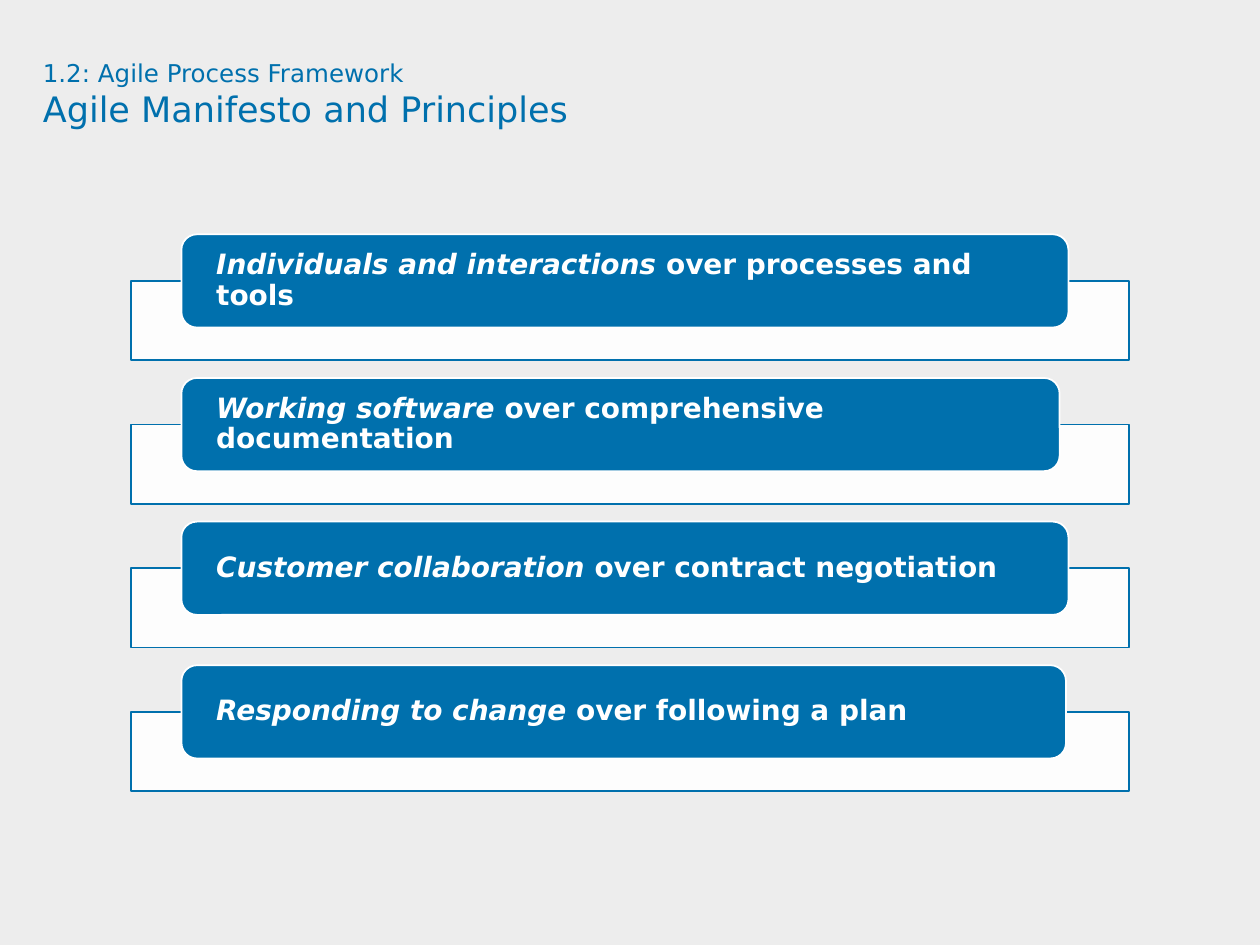
from lxml import etree
from pptx import Presentation
from pptx.dml.color import RGBColor
from pptx.enum.shapes import MSO_SHAPE
from pptx.enum.text import MSO_ANCHOR, PP_ALIGN
from pptx.oxml.ns import qn
from pptx.util import Inches, Pt

RECTANGLE = MSO_SHAPE.RECTANGLE
ROUNDED = MSO_SHAPE.ROUNDED_RECTANGLE
TOP = MSO_ANCHOR.TOP
MIDDLE = MSO_ANCHOR.MIDDLE
LEFT = PP_ALIGN.LEFT

FONT = "DejaVu Sans"
COLORS = {"background": "EDEDED", "blue": "0070AD", "white": "FFFFFF"}
PRINCIPLES = [
    ("Individuals and interactions", " over processes and tools", 7.04),
    ("Working software", " over comprehensive documentation", 6.97),
    ("Customer collaboration", " over contract negotiation", 7.04),
    ("Responding to change", " over following a plan", 7.02),
]
ROW_PITCH = 1.14


def color(name):
    return RGBColor.from_string(COLORS[name])


def add_run(paragraph, text, size, color_name, bold=False, italic=False):
    run = paragraph.add_run()
    run.text = text
    run.font.name = FONT
    run.font.size = Pt(size)
    run.font.bold = bold
    run.font.italic = italic
    run.font.color.rgb = color(color_name)


def set_frame(frame, anchor, side_inset):
    frame.word_wrap = True
    frame.vertical_anchor = anchor
    frame.margin_left = frame.margin_right = Inches(side_inset)
    frame.margin_top = frame.margin_bottom = 0


def add_box(slide, kind, left, top, width, height, fill, line):
    shape = slide.shapes.add_shape(
        kind, Inches(left), Inches(top), Inches(width), Inches(height)
    )
    shape.shadow.inherit = False
    shape.fill.solid()
    shape.fill.fore_color.rgb = color(fill)
    shape.line.color.rgb = color(line)
    shape.line.width = Pt(1)
    return shape


def set_opacity(shape, percent):
    fill_color = shape.fill._xPr.find(qn("a:solidFill"))[0]
    etree.SubElement(fill_color, qn("a:alpha")).set("val", str(percent * 1000))


def add_title(slide, left, top, width, height):
    box = slide.shapes.add_textbox(
        Inches(left), Inches(top), Inches(width), Inches(height)
    )
    set_frame(box.text_frame, TOP, 0)
    paragraph = box.text_frame.paragraphs[0]
    add_run(paragraph, "1.2: Agile Process Framework", 14, "blue")
    paragraph.add_line_break()
    add_run(paragraph, "Agile Manifesto and Principles", 20, "blue")


def add_principle(slide, left, top, width, label_width, valued, other):
    panel = add_box(slide, RECTANGLE, left, top + 0.37, width, 0.63, "white", "blue")
    set_opacity(panel, 90)
    label = add_box(
        slide, ROUNDED, left + 0.4, top, label_width, 0.74, "blue", "white"
    )
    set_frame(label.text_frame, MIDDLE, 0.24)
    paragraph = label.text_frame.paragraphs[0]
    paragraph.alignment = LEFT
    paragraph.line_spacing = 0.9
    add_run(paragraph, valued, 16, "white", bold=True, italic=True)
    add_run(paragraph, other, 16, "white", bold=True)


def add_principles(slide, left, top, width):
    for row, (valued, other, label_width) in enumerate(PRINCIPLES):
        row_top = top + row * ROW_PITCH
        add_principle(slide, left, row_top, width, label_width, valued, other)


def main():
    presentation = Presentation()
    presentation.slide_width = Inches(10)
    presentation.slide_height = Inches(7.5)
    slide = presentation.slides.add_slide(presentation.slide_layouts[6])
    slide.background.fill.solid()
    slide.background.fill.fore_color.rgb = color("background")
    add_title(slide, 0.34, 0.46, 9.09, 0.94)
    add_principles(slide, 1.04, 1.86, 7.92)
    presentation.save("out.pptx")


if __name__ == "__main__":
    main()
